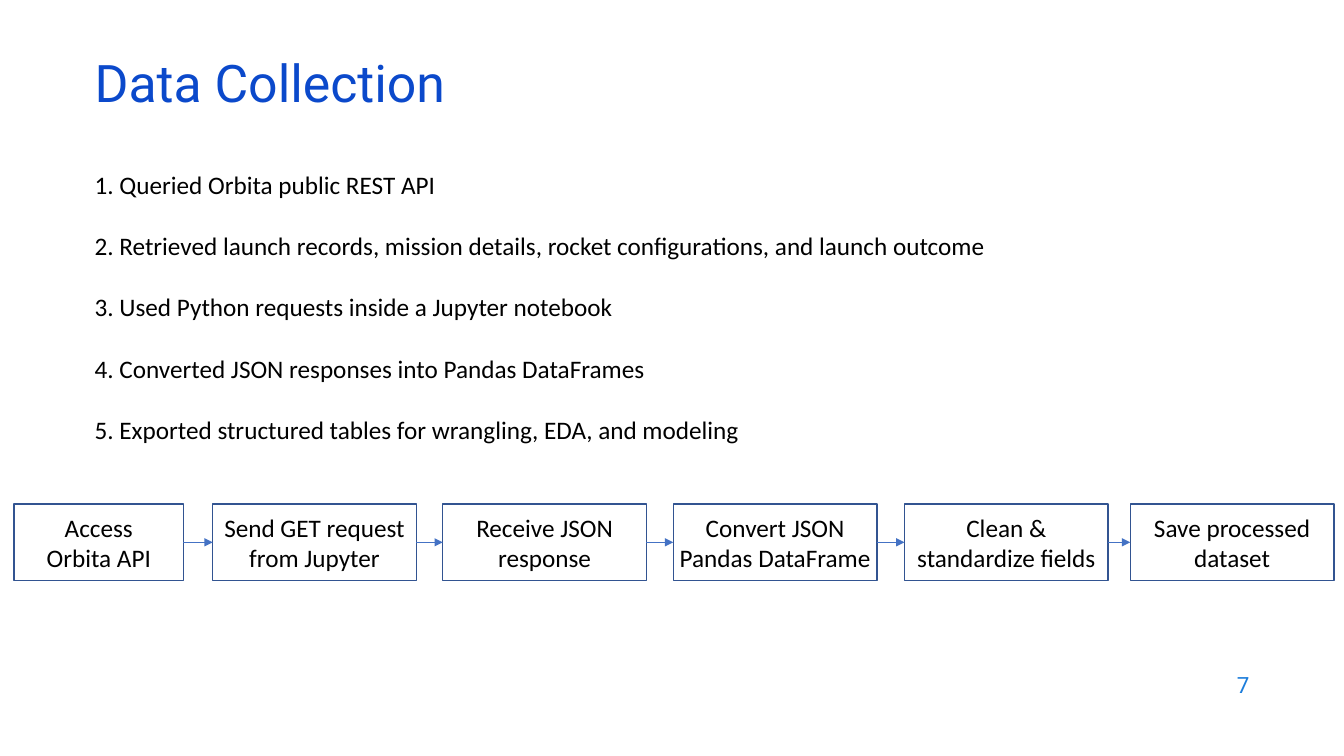
"""Build the Data Collection slide with its numbered steps and process flow."""
from itertools import pairwise

from lxml.etree import SubElement
from pptx import Presentation
from pptx.dml.color import RGBColor
from pptx.enum.shapes import MSO_CONNECTOR as CONN, MSO_SHAPE as SHAPE
from pptx.enum.text import MSO_ANCHOR as ANCHOR, PP_ALIGN as ALIGN
from pptx.oxml.ns import qn
from pptx.util import Inches, Pt

W, H = Inches(13.33), Inches(7.5)
COLORS = {"title": "0B49CB", "text": "000000", "page": "1C7DDB",
          "border": "325491", "arrow": "4472C4"}
FLOW_TOP, FLOW_HEIGHT = 66.67, 10.13
ITEMS = [
    "Queried Orbita public REST API",
    "Retrieved launch records, mission details, rocket configurations, and launch outcome",
    "Used Python requests inside a Jupyter notebook",
    "Converted JSON responses into Pandas DataFrames",
    "Exported structured tables for wrangling, EDA, and modeling",
]
STEPS = [
    (1.05, 12.6, "Access\vOrbita API"),
    (15.83, 15.15, "Send GET request\vfrom Jupyter"),
    (32.95, 15.15, "Receive JSON\vresponse"),
    (50.1, 15.15, "Convert JSON\vPandas DataFrame"),
    (67.3, 15.15, "Clean &\vstandardize fields"),
    (84.1, 15.15, "Save processed\vdataset"),
]


def rgb(name):
    """Return the named colour."""
    return RGBColor.from_string(COLORS[name])


def area(x, y, w, h):
    """Turn percentages of the slide into lengths."""
    return [round(side * share / 100) for side, share in zip((W, H, W, H), (x, y, w, h))]


def write(sp, lines, size, color, font="Calibri", align=ALIGN.LEFT, gap=0, spacing=None, wrap=True):
    """Fill a shape with evenly styled paragraphs."""
    tf = sp.text_frame
    tf.word_wrap = wrap
    tf.vertical_anchor = ANCHOR.MIDDLE
    for i, line in enumerate(lines):
        p = tf.add_paragraph() if i else tf.paragraphs[0]
        p.text = line
        p.alignment = align
        p.line_spacing = spacing
        p.space_before = Pt(gap if i else 0)
        p.font.size, p.font.name = Pt(size), font
        p.font.color.rgb = rgb(color)


def add_text(s, box, lines, size, color, **style):
    """Add a text box."""
    write(s.shapes.add_textbox(*area(*box)), lines, size, color, **style)


def add_step(s, left, width, label):
    """Add one outlined step of the flow."""
    sp = s.shapes.add_shape(SHAPE.RECTANGLE, *area(left, FLOW_TOP, width, FLOW_HEIGHT))
    sp.shadow.inherit = False
    sp.fill.background()
    sp.line.color.rgb = rgb("border")
    sp.line.width = Pt(1)
    write(sp, [label], 18, "text", align=ALIGN.CENTER, wrap=False)
    return sp


def add_arrow(s, start, end):
    """Join two steps with an arrow."""
    c = s.shapes.add_connector(CONN.STRAIGHT, 0, 0, 0, 0)
    c.begin_connect(start, 3)
    c.end_connect(end, 1)
    c.line.color.rgb = rgb("arrow")
    c.line.width = Pt(0.5)
    SubElement(c.line._get_or_add_ln(), qn("a:tailEnd"), type="triangle")
    SubElement(c._element.spPr, qn("a:effectLst"))


def main():
    """Compose and save the slide."""
    prs = Presentation()
    prs.slide_width, prs.slide_height = W, H
    s = prs.slides.add_slide(prs.slide_layouts[6])
    add_text(s, (71.2, 87.6, 22.5, 5.87), ["7"], 16, "page", font="Roboto", align=ALIGN.RIGHT)
    add_text(s, (6.3, 7.87, 86.27, 8), ["Data Collection"], 37, "title", font="Roboto", spacing=0.7)
    items = [f"{n}. {item}" for n, item in enumerate(ITEMS, 1)]
    add_text(s, (6.3, 21.73, 68.57, 37.73), items, 18, "text", gap=22, wrap=False)
    boxes = [add_step(s, *step) for step in STEPS]
    for start, end in pairwise(boxes):
        add_arrow(s, start, end)
    prs.save("out.pptx")


if __name__ == "__main__":
    main()
